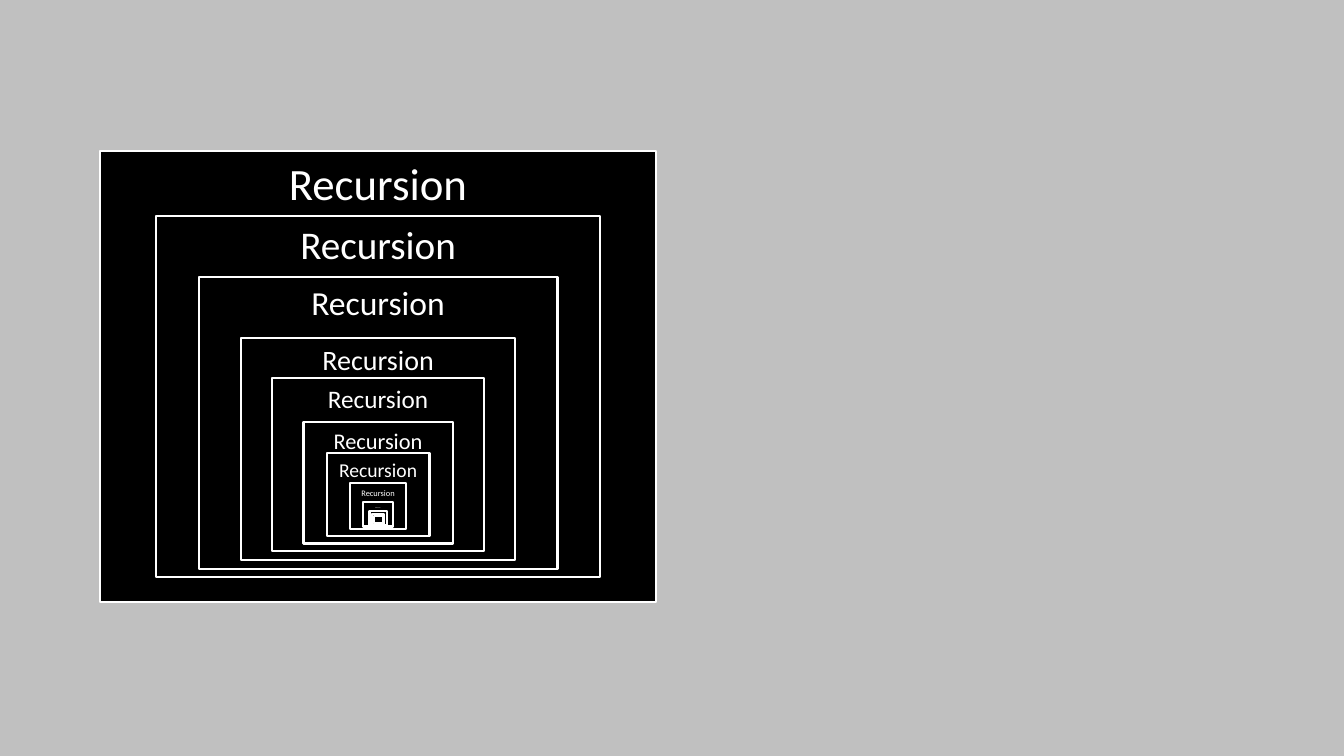
"""Build a slide of nested frames that illustrates recursion."""
from pptx import Presentation
from pptx.dml.color import RGBColor
from pptx.enum.shapes import MSO_SHAPE as Shape
from pptx.enum.text import MSO_ANCHOR as Anchor, PP_ALIGN as Align
from pptx.util import Inches, Pt

BLACK = RGBColor(0x00, 0x00, 0x00)
WHITE = RGBColor(0xFF, 0xFF, 0xFF)
GREY = RGBColor(0xC0, 0xC0, 0xC0)

CENTRE = 3.75
HEIGHT_RATIO = 0.8125
WORD = "Recursion"
FRAMES = [
    (1.5, 5.51, 32),
    (2.14, 4.41, 28),
    (2.75, 3.56, 24),
    (3.35, 2.72, 20),
    (3.75, 2.11, 18),
    (4.19, 1.48, 16),
    (4.49, 1.02, 14),
    (4.79, 0.56, 6),
    (4.98, 0.3, 1),
    (5.07, 0.17, None),
    (5.1, 0.12, None),
    (5.12, 0.09, None),
]


class SlideBuilder:
    font = "Calibri"
    line_width = Pt(1.5)

    def __init__(self, page):
        self.page = page

    def background(self, color):
        fill = self.page.background.fill
        fill.solid()
        fill.fore_color.rgb = color

    def frame(self, top, width, text_size):
        box = self.page.shapes.add_shape(
            Shape.RECTANGLE, Inches(CENTRE - width / 2), Inches(top),
            Inches(width), Inches(width * HEIGHT_RATIO))
        box.shadow.inherit = False
        box.fill.solid()
        box.fill.fore_color.rgb = BLACK
        box.line.color.rgb = WHITE
        box.line.width = self.line_width
        if text_size:
            self.label(box, text_size)

    def label(self, box, text_size):
        box.text_frame.word_wrap = True
        box.text_frame.vertical_anchor = Anchor.TOP
        para = box.text_frame.paragraphs[0]
        para.alignment = Align.CENTER
        span = para.add_run()
        span.text = WORD
        span.font.name = self.font
        span.font.size = Pt(text_size)
        span.font.color.rgb = WHITE


deck = Presentation()
deck.slide_width = Inches(13.33)
deck.slide_height = Inches(7.5)
builder = SlideBuilder(deck.slides.add_slide(deck.slide_layouts[6]))
builder.background(GREY)
for top, width, text_size in FRAMES:
    builder.frame(top, width, text_size)
deck.save("out.pptx")
